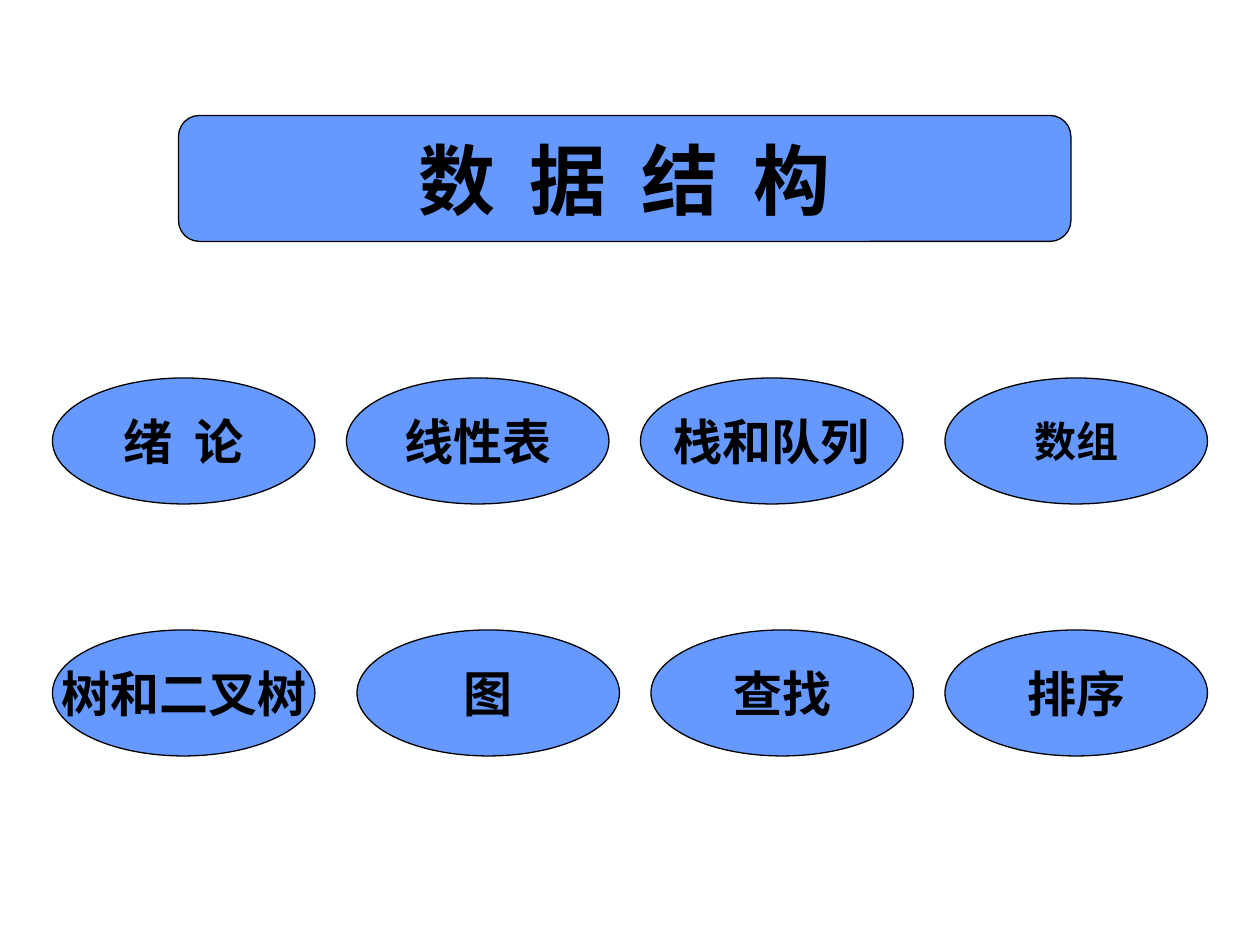
from dataclasses import dataclass

from pptx import Presentation
from pptx import util as u
from pptx.dml.color import RGBColor
from pptx.enum import shapes, text
from pptx.slide import Slide

PAPER = RGBColor(0xFE, 0xFF, 0xFF)
BLUE = RGBColor(0x66, 0x99, 0xFF)
BLACK = RGBColor(0x00, 0x00, 0x00)

FRAME_FORMAT = {
    "word_wrap": False,
    "vertical_anchor": text.MSO_ANCHOR.MIDDLE,
    "margin_left": u.Pt(7.2),
    "margin_right": u.Pt(7.2),
    "margin_top": u.Pt(3.6),
    "margin_bottom": u.Pt(3.6),
}
TOPIC_WIDTH = 150
BOX_HEIGHT = 72


@dataclass(frozen=True)
class Label:
    words: str
    left: float
    size: float = 28
    font: str = "Times New Roman"


TITLE = Label("数  据  结  构", 102, 44, "Noto Sans CJK SC")
TOPIC_ROWS = {
    216: [
        Label("绪  论", 30),
        Label("线性表", 198),
        Label("栈和队列", 366),
        Label("数组", 540, 24),
    ],
    360: [
        Label("树和二叉树", 30),
        Label("图", 204),
        Label("查找", 372),
        Label("排序", 540),
    ],
}


def draw_label(
    page: Slide, label: Label, kind: shapes.MSO_SHAPE, top: float, width: float
) -> None:
    box = page.shapes.add_shape(
        kind, u.Pt(label.left), u.Pt(top), u.Pt(width), u.Pt(BOX_HEIGHT)
    )
    box.shadow.inherit = False
    box.fill.solid()
    box.fill.fore_color.rgb = BLUE
    box.line.color.rgb = BLACK
    box.line.width = u.Pt(0.75)
    for name, value in FRAME_FORMAT.items():
        setattr(box.text_frame, name, value)
    para = box.text_frame.paragraphs[0]
    para.alignment = text.PP_ALIGN.CENTER
    span = para.add_run()
    span.text = label.words
    font_format = {"name": label.font, "size": u.Pt(label.size), "bold": True}
    for name, value in font_format.items():
        setattr(span.font, name, value)
    span.font.color.rgb = BLACK


def main() -> None:
    deck = Presentation()
    deck.slide_width = u.Pt(720)
    deck.slide_height = u.Pt(540)
    page = deck.slides.add_slide(deck.slide_layouts[6])
    page.background.fill.solid()
    page.background.fill.fore_color.rgb = PAPER
    draw_label(page, TITLE, shapes.MSO_SHAPE.ROUNDED_RECTANGLE, 66, 510)
    for top, topics in TOPIC_ROWS.items():
        for topic in topics:
            draw_label(page, topic, shapes.MSO_SHAPE.OVAL, top, TOPIC_WIDTH)
    deck.save("out.pptx")


if __name__ == "__main__":
    main()
